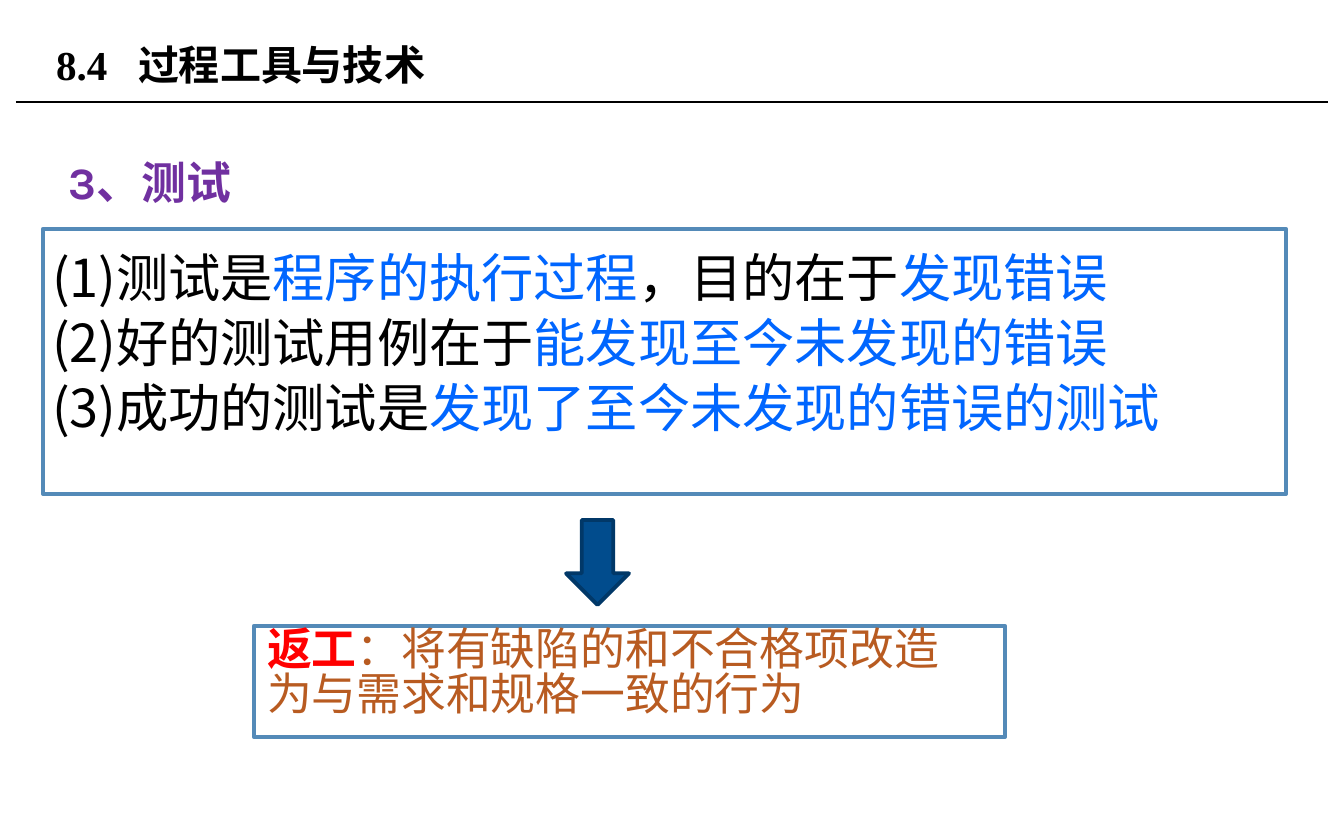
from lxml.etree import SubElement
from pptx import Presentation
from pptx.dml.color import RGBColor
from pptx.enum.shapes import MSO_CONNECTOR, MSO_SHAPE
from pptx.enum.text import MSO_ANCHOR, MSO_AUTO_SIZE, PP_ALIGN
from pptx.oxml.ns import qn
from pptx.util import Emu, Pt

SCALE = 914400 / 134.4
BLACK = RGBColor(0x00, 0x00, 0x00)
PURPLE = RGBColor(0x70, 0x30, 0xA0)
BLUE = RGBColor(0x00, 0x66, 0xFF)
RED = RGBColor(0xFF, 0x00, 0x00)
BROWN = RGBColor(0xB8, 0x5B, 0x21)
STEEL = RGBColor(0x54, 0x8A, 0xB8)
NAVY = RGBColor(0x01, 0x4C, 0x8D)
DARK = RGBColor(0x01, 0x38, 0x68)
SERIF = "Times New Roman"
KARLA = "Karla"
SANS = "Noto Sans CJK SC"
GOTHIC = "Noto Sans CJK JP"


def px(num):
    return Emu(round(num * SCALE))


class Deck:
    def __init__(self):
        self.prs = Presentation()
        self.prs.slide_width, self.prs.slide_height = px(1344), px(840)
        self.slide = self.prs.slides.add_slide(self.prs.slide_layouts[1])
        self.shapes = self.slide.shapes

    def place(self, shape, box):
        shape.left, shape.top, shape.width, shape.height = map(px, box)

    def frame(self, shape, pads, anchor=MSO_ANCHOR.TOP):
        frame = shape.text_frame
        frame.word_wrap = True
        frame.auto_size = MSO_AUTO_SIZE.NONE
        frame.vertical_anchor = anchor
        (frame.margin_left, frame.margin_top,
         frame.margin_right, frame.margin_bottom) = map(px, pads)
        return frame

    def fill_in(self, para, parts, face, size, bold=False, space=1.0):
        para.alignment = PP_ALIGN.LEFT
        para.line_spacing = space
        para.space_before = Pt(0)
        para.font.name, para.font.size, para.font.bold = face, Pt(size), bold
        for text, color in parts:
            run = para.add_run()
            run.text = text
            run.font.color.rgb = color
            east = face if "CJK" in face else SANS
            SubElement(run.font._element, qn("a:ea"), typeface=east)

    def title(self, box, text, stop):
        shape = self.shapes.title
        self.place(shape, box)
        para = self.frame(shape, (13, 7, 13, 7), MSO_ANCHOR.MIDDLE).paragraphs[0]
        tabs = SubElement(para._p.get_or_add_pPr(), qn("a:tabLst"))
        SubElement(tabs, qn("a:tab"), pos=str(px(stop)), algn="l")
        self.fill_in(para, [(text, BLACK)], SERIF, 22, True)

    def label(self, box, text):
        shape = self.shapes.add_textbox(*map(px, box))
        para = self.frame(shape, (13, 7, 13, 7)).paragraphs[0]
        self.fill_in(para, [(text, PURPLE)], KARLA, 24, True)

    def items(self, box, rows):
        shape = self.slide.placeholders[1]
        self.place(shape, box)
        frame = self.frame(shape, (0, 3, 0, 0))
        for num, row in enumerate(rows):
            para = frame.add_paragraph() if num else frame.paragraphs[0]
            props = para._p.get_or_add_pPr()
            props.set("marL", str(px(48)))
            props.set("indent", str(px(-47)))
            SubElement(props, qn("a:buFont"), typeface=SANS)
            SubElement(props, qn("a:buAutoNum"), type="arabicParenBoth")
            self.fill_in(para, row, SANS, 28, space=0.83)
            if num:
                para.space_before = Pt(7)

    def shape(self, kind, box, line, width, fill=None):
        shape = self.shapes.add_shape(kind, *map(px, box))
        shape.shadow.inherit = False
        if fill is None:
            shape.fill.background()
        else:
            shape.fill.solid()
            shape.fill.fore_color.rgb = fill
        shape.line.color.rgb = line
        shape.line.width = Pt(width)
        return shape

    def note(self, box, head, text):
        shape = self.shape(MSO_SHAPE.RECTANGLE, box, STEEL, 2.28)
        para = self.frame(shape, (13, 4, 54, 0)).paragraphs[0]
        self.fill_in(para, [(head, RED), (text, BROWN)], GOTHIC, 24, space=0.83)
        para.runs[0].font.bold = True

    def rule(self, left, right, top):
        line = self.shapes.add_connector(
            MSO_CONNECTOR.STRAIGHT, px(left), px(top), px(right), px(top))
        line.line.color.rgb = BLACK
        line.line.width = Pt(0.75)
        SubElement(line._element.spPr, qn("a:effectLst"))


def main():
    deck = Deck()
    deck.rule(16, 1328, 102)
    deck.title((43, 17, 857, 95), "8.4\t过程工具与技术", 82)
    deck.label((56, 148, 672, 67), "3、测试")
    deck.shape(MSO_SHAPE.RECTANGLE, (43, 229, 1243, 265), STEEL, 2.28)
    deck.items((51, 253, 1243, 218), [
        [("测试是", BLACK), ("程序的执行过程", BLUE),
         ("，目的在于", BLACK), ("发现错误", BLUE)],
        [("好的测试用例在于", BLACK), ("能发现至今未发现的错误", BLUE)],
        [("成功的测试是", BLACK), ("发现了至今未发现的错误的测试", BLUE)],
    ])
    deck.note((254, 626, 751, 111), "返工", "：将有缺陷的和不合格项改造为与需求和规格一致的行为")
    deck.shape(MSO_SHAPE.DOWN_ARROW, (566, 520, 63, 85), DARK, 2, NAVY)
    deck.prs.save("out.pptx")


if __name__ == "__main__":
    main()
